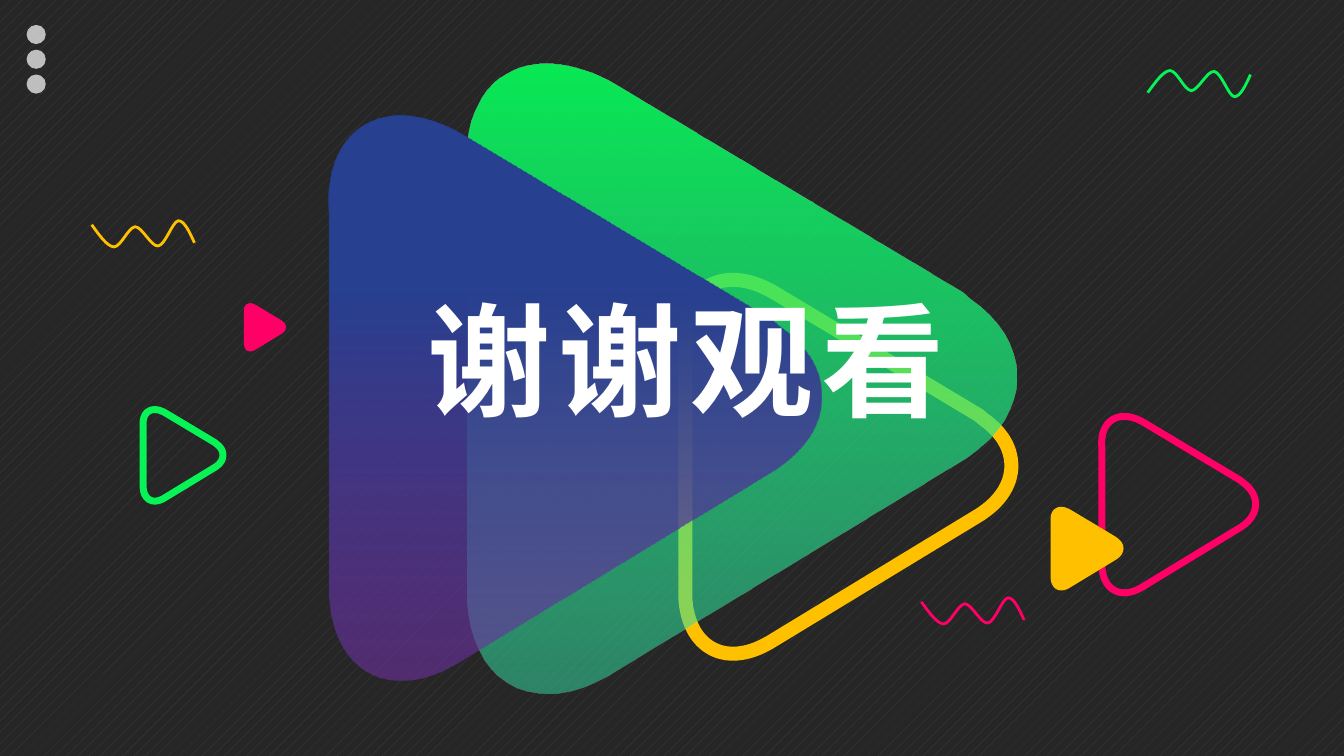
import pptx
import pptx.dml.color
import pptx.enum.dml
import pptx.enum.shapes
import pptx.enum.text
import pptx.oxml.ns
import pptx.util
from lxml import etree

Pt = pptx.util.Pt
qn = pptx.oxml.ns.qn

COLOURS = {
    "background": "262626", "hatch": "404040", "white": "FFFFFF",
    "pink": "FF0066", "yellow": "FFC000", "green": "07F356",
    "lime": "07F757", "mint": "36DEA6", "blue": "27408F", "purple": "7030A0",
}
TITLE = "谢谢观看"
FONT = "Noto Sans CJK SC"

# Outlines: a start point, then lines (one point) and cubic curves (three points).
# The play button is in percent of its width and height, the wave in points.
PLAY_OUTLINE = [
    [(100, 49.8)],
    [(100, 54.6), (96.7, 59), (91.4, 62.2)],
    [(90.6, 62.7)],
    [(25.7, 97.1)],
    [(23.5, 98.1)],
    [(17.8, 100.5), (11.9, 100.8), (7.3, 98.2)],
    [(2.8, 95.7), (0.4, 90.9), (0, 85.1)],
    [(0, 17.3)],
    [(-0.6, 11.4), (1.1, 6.2), (5.1, 3)],
    [(10.3, -1), (18, -0.8), (25.7, 2.7)],
    [(27.9, 3.8)],
    [(90.1, 36.3)],
    [(91.4, 37.3)],
    [(96.7, 40.5), (100, 44.8), (100, 49.8)],
]
WAVE_OUTLINE = [
    [(0, 2.9)],
    [(5.8, 10.8), (10.8, 18), (15.8, 18.7)],
    [(20.9, 18.7), (25.9, 5), (31, 4.3)],
    [(36, 4.3), (42.5, 18.7), (47.5, 18)],
    [(52.6, 17.3), (57.6, 0.7), (61.9, 0)],
    [(66.2, 0), (69.8, 7.9), (73.4, 15.8)],
]
PLAY_ASPECT = 0.872
PLAY_CENTRE = (49.7, 49.9)
WAVE_HEIGHT = 18.7

# left, top, height, line (colour, width), fill stops (position, colour, opacity)
PLAY_BUTTONS = [
    (787, 297.4, 126, ("pink", 5), None),
    (750.4, 362, 59.8, None, [(0, "yellow", 100)]),
    (102.2, 292.5, 65.5, ("green", 5), None),
    (174.2, 216.5, 34.6, None, [(0, "pink", 100)]),
    (489.5, 199.8, 267.1, ("yellow", 10), None),
    (333.4, 44.9, 450, None, [(0, "lime", 94), (100, "mint", 51)]),
    (234.9, 82.5, 403.2, None, [(31, "blue", 100), (100, "purple", 58)]),
]
# left, top, colour, upside down
WAVES = [
    (819.8, 50.4, "green", True),
    (65.5, 157.7, "yellow", False),
    (658.1, 427, "pink", False),
]
DOT_LEFT, DOT_TOP, DOT_SIZE, DOT_PITCH, DOT_COUNT = 19, 17.8, 13.7, 17.7, 3


def rgb(name):
    return pptx.dml.color.RGBColor.from_string(COLOURS[name])


def set_opacity(shape, opacities):
    """Give each fill colour of the shape its opacity in percent."""
    colours = shape.element.spPr.xpath("./a:solidFill/a:srgbClr | ./a:gradFill//a:srgbClr")
    for colour, opacity in zip(colours, opacities):
        if opacity < 100:
            alpha = etree.SubElement(colour, qn("a:alpha"))
            alpha.set("val", str(opacity * 1000))


def paint(shape, line, stops):
    shape.shadow.inherit = False
    if line:
        shape.line.color.rgb = rgb(line[0])
        shape.line.width = Pt(line[1])
    else:
        shape.line.fill.background()
    if not stops:
        shape.fill.background()
        return
    if len(stops) == 1:
        shape.fill.solid()
        shape.fill.fore_color.rgb = rgb(stops[0][1])
    else:
        shape.fill.gradient()
        shape.fill.gradient_angle = 0
        for gradient_stop, (position, colour, _) in zip(shape.fill.gradient_stops, stops):
            gradient_stop.position = position / 100
            gradient_stop.color.rgb = rgb(colour)
    set_opacity(shape, [stop[2] for stop in stops])


def add_outline(slide, outline, place, closed):
    """Draw an outline; place maps each of its points to the slide."""
    corners = [tuple(Pt(length) for length in place(*point))
               for segment in outline for point in segment]
    builder = slide.shapes.build_freeform(*corners[0])
    builder.add_line_segments(corners[1:], close=closed)
    shape = builder.convert_to_shape()
    lines = iter(shape.element.xpath(".//a:path/a:lnTo"))
    for segment in outline[1:]:
        steps = [next(lines) for _ in segment]
        if len(steps) == 3:
            curve = etree.Element(qn("a:cubicBezTo"))
            steps[0].addprevious(curve)
            for step in steps:
                curve.append(step[0])
                step.getparent().remove(step)
    return shape


def add_play_button(slide, left, top, height, line, stops):
    """Lay the button out pointing up, then turn it to the right."""
    scale_x, scale_y = height * PLAY_ASPECT / 100, height / 100
    middle_x, middle_y = PLAY_CENTRE
    centre_x, centre_y = left + middle_x * scale_x, top + middle_y * scale_y

    def place(x, y):
        return centre_x + (y - middle_y) * scale_y, centre_y - (x - middle_x) * scale_x

    button = add_outline(slide, PLAY_OUTLINE, place, True)
    button.rotation = 90
    paint(button, line, stops)


def add_wave(slide, left, top, colour, flipped):
    def place(x, y):
        return left + x, top + (WAVE_HEIGHT - y if flipped else y)

    paint(add_outline(slide, WAVE_OUTLINE, place, False), (colour, 2), None)


def add_title(slide):
    box = slide.shapes.add_textbox(Pt(237.2), Pt(199.4), Pt(506.2), Pt(113.8))
    frame = box.text_frame
    frame.word_wrap = True
    frame.auto_size = pptx.enum.text.MSO_AUTO_SIZE.SHAPE_TO_FIT_TEXT
    frame.text = TITLE
    paragraph = frame.paragraphs[0]
    paragraph.alignment = pptx.enum.text.PP_ALIGN.CENTER
    run = paragraph.runs[0]
    run.font.size = Pt(88)
    run.font.bold = True
    run.font.name = FONT
    run.font.color.rgb = rgb("white")
    properties = run.font._element
    properties.set("spc", "600")
    east_asian = etree.Element(qn("a:ea"), typeface=FONT)
    properties.find(qn("a:latin")).addnext(east_asian)


def main():
    presentation = pptx.Presentation()
    presentation.slide_width, presentation.slide_height = Pt(960), Pt(540)
    slide = presentation.slides.add_slide(presentation.slide_layouts[6])

    background = slide.background.fill
    background.patterned()
    background.pattern = pptx.enum.dml.MSO_PATTERN.PERCENT_10
    background.fore_color.rgb = rgb("hatch")
    background.back_color.rgb = rgb("background")

    for button in PLAY_BUTTONS:
        add_play_button(slide, *button)
    for wave in WAVES:
        add_wave(slide, *wave)
    for index in range(DOT_COUNT):
        dot = slide.shapes.add_shape(
            pptx.enum.shapes.MSO_SHAPE.OVAL, Pt(DOT_LEFT),
            Pt(DOT_TOP + index * DOT_PITCH), Pt(DOT_SIZE), Pt(DOT_SIZE))
        paint(dot, None, [(0, "white", 70)])
    add_title(slide)
    presentation.save("out.pptx")


if __name__ == "__main__":
    main()
